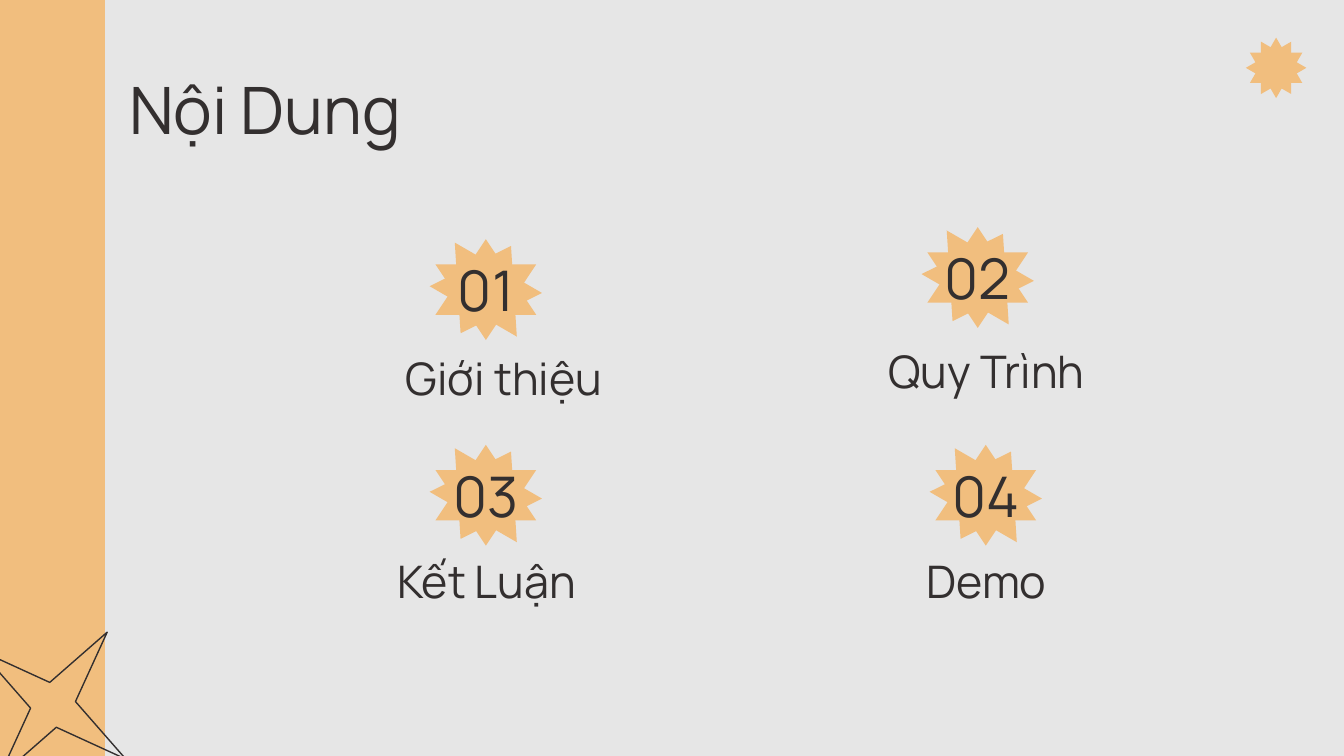
from pptx import Presentation
from pptx import util as u
from pptx.dml.color import RGBColor
from pptx.enum import shapes, text

SAND = RGBColor(0xF1, 0xBE, 0x7E)
INK = RGBColor(0x33, 0x2F, 0x2F)
PAPER = RGBColor(0xE6, 0xE6, 0xE6)
FONT = "Manrope"
STAR = shapes.MSO_SHAPE

prs = Presentation()
prs.slide_width, prs.slide_height = u.Inches(10), u.Inches(5.625)
s = prs.slides.add_slide(prs.slide_layouts[6])
s.background.fill.solid()
s.background.fill.fore_color.rgb = PAPER

# Square grid: 100 columns across the slide, 56.25 rows down
CELL = prs.slide_width / 100


def add_centred(kind, cx, cy, w, h, fill=None, rotation=0):
    """Add a preset shape by its centre; without a fill it gets a thin outline."""
    sp = s.shapes.add_shape(kind, *(round(v * CELL) for v in (cx - w / 2, cy - h / 2, w, h)))
    sp.shadow.inherit = False
    sp.rotation = rotation
    if fill is None:
        sp.fill.background()
        sp.line.color.rgb = INK
        sp.line.width = u.Pt(0.75)
    else:
        sp.fill.solid()
        sp.fill.fore_color.rgb = fill
        sp.line.fill.background()
    return sp


def add_text(words, cx, cy, w, h, size, align=text.PP_ALIGN.CENTER):
    """Add a one-line text box by its centre."""
    sp = s.shapes.add_textbox(*(round(v * CELL) for v in (cx - w / 2, cy - h / 2, w, h)))
    tf = sp.text_frame
    tf.word_wrap = True
    tf.vertical_anchor = text.MSO_ANCHOR.MIDDLE
    tf.margin_left = tf.margin_right = tf.margin_top = tf.margin_bottom = round(CELL)
    p = tf.paragraphs[0]
    p.text = words
    p.alignment = align
    p.font.name, p.font.size, p.font.color.rgb = FONT, u.Pt(size), INK
    return tf


# Side band and corner ornaments
add_centred(STAR.RECTANGLE, 3.9, 28.13, 7.8, 56.25, SAND)
sparkle = add_centred(STAR.STAR_4_POINT, 3.95, 52.45, 13.5, 13.5, rotation=36.7)
sparkle.adjustments[0] = 0.125
for angle in (0, 30):
    add_centred(STAR.STAR_6_POINT, 94.95, 5.05, 3.9, 4.5, SAND, angle)

# Heading
tf = add_text("Nội Dung", 50.05, 8.05, 84.3, 6.3, 35, text.PP_ALIGN.LEFT)
tf.margin_left = round(1.7 * CELL)

# Agenda: label, badge centre, label centre
agenda = [
    ("Giới thiệu", (36.15, 21.55), (37.5, 28.1)),
    ("Quy Trình", (72.75, 20.65), (73.4, 27.6)),
    ("Kết Luận", (36.15, 36.85), (36.2, 43.2)),
    ("Demo", (73.35, 36.85), (73.4, 43.2)),
]
for number, (label, badge, caption) in enumerate(agenda, 1):
    for angle in (0, 30):
        add_centred(STAR.STAR_6_POINT, *badge, 7.5, 7.5, SAND, angle)
    add_text(f"{number:02}", *badge, 13.9, 5.3, 30)
    add_text(label, *caption, 25.6, 5.8, 24)

prs.save("out.pptx")
